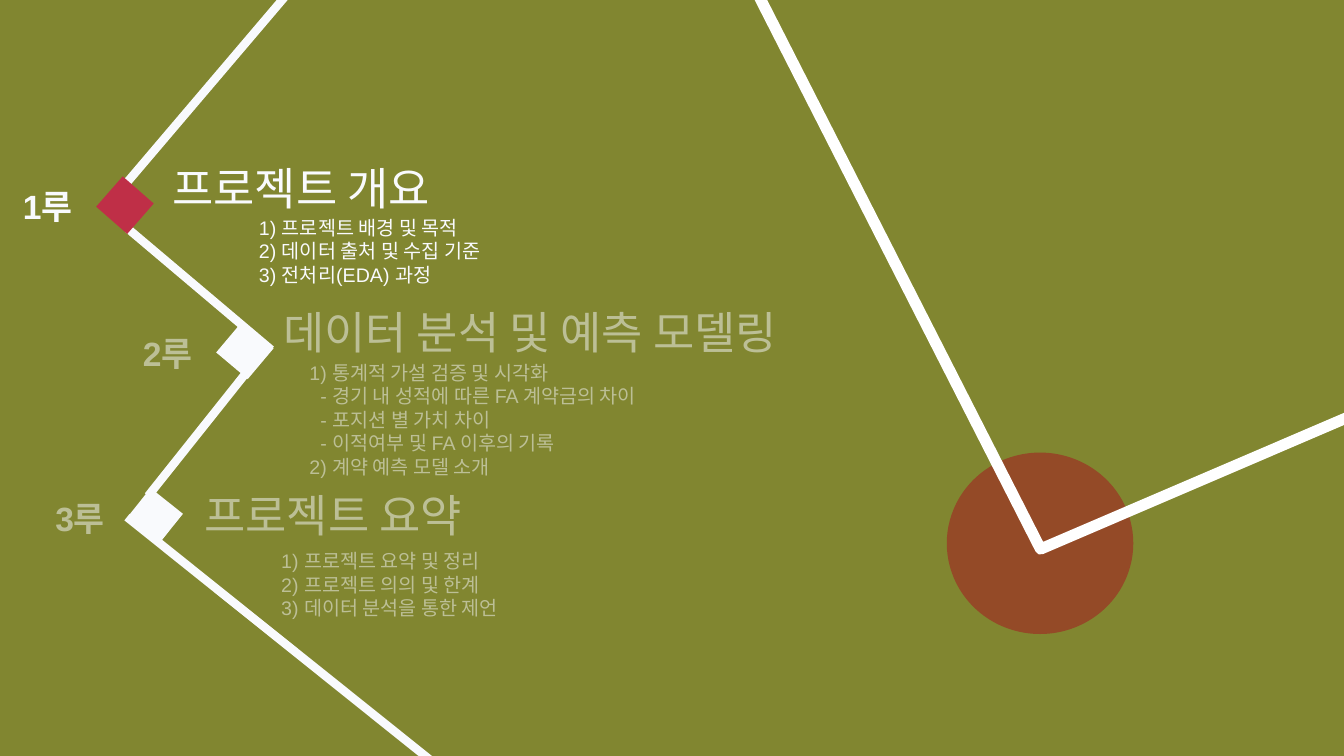
"""Build a baseball-diamond agenda slide with the first section highlighted."""
from lxml import etree
from pptx import Presentation
from pptx.dml.color import RGBColor
from pptx.enum import shapes, text
from pptx.oxml.ns import qn
from pptx.util import Inches, Pt

COLORS = {"grass": "818630", "chalk": "F9FAFD", "line": "FFFFFF",
          "clay": "944A27", "active": "BF2F47"}
FONT = "Arial"
SUB_INDENT = 0.11

SECTIONS = [
    {"base": "1루", "base_at": (0.13, 1.8),
     "heading": "프로젝트 개요", "heading_at": (1.61, 1.54),
     "items": ["1) 프로젝트 배경 및 목적", "2) 데이터 출처 및 수집 기준",
               "3) 전처리(EDA) 과정"],
     "items_at": (2.47, 2.09),
     "square_at": (1.04, 1.83), "angle": 311.2, "square_color": "active"},
    {"base": "2루", "base_at": (1.32, 3.25),
     "heading": "데이터 분석 및 예측 모델링", "heading_at": (2.71, 2.97),
     "items": ["1) 통계적 가설 검증 및 시각화",
               "- 경기 내 성적에 따른 FA 계약금의 차이",
               "- 포지션 별 가치 차이",
               "- 이적여부 및 FA 이후의 기록",
               "2) 계약 예측 모델 소개"],
     "items_at": (2.97, 3.53),
     "square_at": (2.23, 3.27), "angle": 310.1, "square_color": "chalk"},
    {"base": "3루", "base_at": (0.45, 4.89),
     "heading": "프로젝트 요약", "heading_at": (1.93, 4.79),
     "items": ["1) 프로젝트 요약 및 정리", "2) 프로젝트 의의 및 한계",
               "3) 데이터 분석을 통한 제언"],
     "items_at": (2.69, 5.4),
     "square_at": (1.33, 4.92), "angle": 308.6, "square_color": "chalk"},
]
BASE_PATHS = [((2.9, -0.12), (1.2, 1.88)), ((1.27, 2.27), (2.69, 3.47)),
              ((2.48, 3.65), (1.47, 4.92)), ((1.26, 5.13), (4.43, 7.67))]


def color(name):
    return RGBColor.from_string(COLORS[name])


def place(shape, left, top, width, height):
    shape.left, shape.top = Inches(left), Inches(top)
    shape.width, shape.height = Inches(width), Inches(height)


def write(shape, lines, size, bold=False):
    frame = shape.text_frame
    frame.word_wrap = True
    frame.auto_size = text.MSO_AUTO_SIZE.SHAPE_TO_FIT_TEXT
    frame.vertical_anchor = text.MSO_ANCHOR.TOP
    frame.text = "\n".join(lines)
    for paragraph in frame.paragraphs:
        paragraph.alignment = text.PP_ALIGN.LEFT
        paragraph.line_spacing = 1.0
        paragraph.space_before = Pt(0)
        if paragraph.text.startswith("-"):
            paragraph._p.get_or_add_pPr().set("marL", str(Inches(SUB_INDENT)))
        font = paragraph.font
        font.name, font.size, font.bold = FONT, Pt(size), bold
        font.color.rgb = color("chalk")


def add_text(slide, at, width, height, lines, size, bold=False):
    box = slide.shapes.add_textbox(0, 0, 0, 0)
    place(box, *at, width, height)
    write(box, lines, size, bold)


def add_shape(slide, preset, at, fill=None, angle=0):
    shape = slide.shapes.add_shape(preset, *map(Inches, at))
    shape.shadow.inherit = False
    shape.rotation = angle
    shape.line.fill.background()
    if fill:
        shape.fill.solid()
        shape.fill.fore_color.rgb = color(fill)
    else:
        shape.fill.background()
    return shape


def add_section(slide, section, is_title=False):
    add_text(slide, section["base_at"], 1.24, 0.5, [section["base"]], 24, True)
    if is_title:
        title = slide.shapes.title
        place(title, *section["heading_at"], 5.63, 0.64)
        write(title, [section["heading"]], 32)
        slide.shapes._spTree.append(title._element)
    else:
        add_text(slide, section["heading_at"], 5.63, 0.64, [section["heading"]], 32)
    items = section["items"]
    add_text(slide, section["items_at"], 7.41, 0.1 + 0.236 * len(items), items, 14)


def add_field(slide):
    preset = shapes.MSO_SHAPE
    add_shape(slide, preset.OVAL, (9.39, 4.49, 1.85, 1.8), "clay")
    infield = add_shape(slide, preset.DIAMOND, (6.59, -5.91, 11.31, 12.08), angle=109.9)
    infield.line.color.rgb = color("line")
    infield.line.width = Pt(8)
    for start, end in BASE_PATHS:
        path = slide.shapes.add_connector(shapes.MSO_CONNECTOR.STRAIGHT,
                                          *map(Inches, start + end))
        path.line.color.rgb = color("chalk")
        path.line.width = Pt(6)
        etree.SubElement(path._element.spPr, qn("a:effectLst"))
    for section in SECTIONS:
        add_shape(slide, preset.RECTANGLE, section["square_at"] + (0.4, 0.41),
                  section["square_color"], section["angle"])


def main():
    presentation = Presentation()
    presentation.slide_width, presentation.slide_height = Inches(13.33), Inches(7.5)
    slide = presentation.slides.add_slide(presentation.slide_layouts[5])
    slide.background.fill.solid()
    slide.background.fill.fore_color.rgb = color("grass")

    active, *upcoming = SECTIONS
    for section in upcoming:
        add_section(slide, section)
    veil = add_shape(slide, shapes.MSO_SHAPE.RECTANGLE, (0.27, 1.13, 7.7, 6.31), "grass")
    veil_color = veil._element.spPr.find(qn("a:solidFill"))[0]
    etree.SubElement(veil_color, qn("a:alpha"), val="50000")
    add_field(slide)
    add_section(slide, active, is_title=True)
    presentation.save("out.pptx")


if __name__ == "__main__":
    main()
